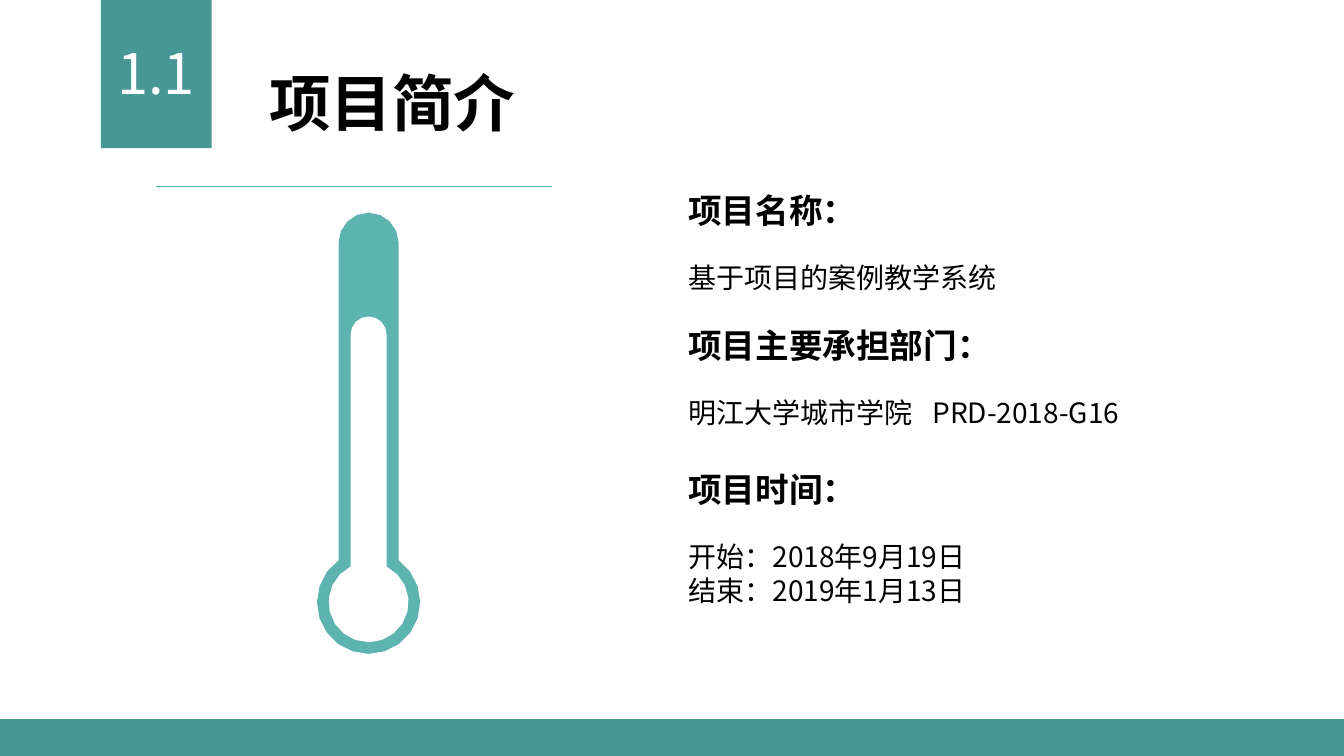
from dataclasses import dataclass
from math import acos, cos, pi, sin

from lxml import etree
from pptx import Presentation, util as u
from pptx.dml.color import RGBColor
from pptx.enum import shapes, text
from pptx.oxml import ns


@dataclass(frozen=True)
class Theme:
    dark: str = "479796"
    teal: str = "5DB3B0"
    white: str = "FFFFFF"
    black: str = "000000"
    font: str = "Noto Sans CJK SC"
    digit: str = "Noto Sans CJK KR"
    title: int = 44
    number: int = 40
    head: int = 24
    body: int = 20
    lead: float = 1.2


@dataclass(frozen=True)
class Box:
    """Columns and rows of a 160 by 90 grid."""
    left: float
    top: float
    wide: float
    high: float


@dataclass(frozen=True)
class Tube:
    """Half width of the stem, top of the stem, radius of the bulb."""
    half: float
    top: float
    bulb: float
    color: str


@dataclass(frozen=True)
class Line:
    words: str
    gap: float = 0
    head: bool = False


THEME = Theme()
CELL = u.Inches(1) / 12
AXIS, CORE = 43.88, 71.7  # centre of the thermometer bulb
TAB = 29.05

BARS = [Box(12, 0, 13.2, 17.64), Box(0, 85.6, 160, 4.4)]
TUBES = [Tube(3.57, 25.32, 6.14, THEME.teal),
         Tube(2.14, 37.68, 4.76, THEME.white)]
LINES = [
    Line("项目名称：", head=True),
    Line("基于项目的案例教学系统", 21.6),
    Line("项目主要承担部门：", 21.6, True),
    Line("明江大学城市学院\tPRD-2018-G16", 21.6),
    Line("项目时间：", 28.8, True),
    Line("开始：2018年9月19日", 21.6),
    Line("结束：2019年1月13日"),
]


def grid(cells: float) -> int:
    return round(cells * CELL)


def place(shape, box: Box) -> None:
    shape.left, shape.top = grid(box.left), grid(box.top)
    shape.width, shape.height = grid(box.wide), grid(box.high)


def paint(shape, color: str) -> None:
    shape.fill.solid()
    shape.fill.fore_color.rgb = RGBColor.from_string(color)
    shape.line.fill.background()
    shape.shadow.inherit = False


def style(para, size: int, color: str, font: str, bold: bool = False) -> None:
    para.line_spacing = u.Pt(size * THEME.lead)
    for run in para.runs:
        run.font.size = u.Pt(size)
        run.font.bold = bold
        run.font.name = font
        run.font.color.rgb = RGBColor.from_string(color)
        east = etree.SubElement(run.font._element, ns.qn("a:ea"))
        east.set("typeface", font)


def setup(shape, box: Box):
    place(shape, box)
    frame = shape.text_frame
    frame.word_wrap = True
    frame.auto_size = text.MSO_AUTO_SIZE.NONE
    frame.vertical_anchor = text.MSO_ANCHOR.TOP
    return frame


def arc(y: float, size: float, start: float, end: float, steps: int) -> list:
    turns = [start + (end - start) * i / steps for i in range(steps + 1)]
    return [(grid(AXIS + size * cos(t)), grid(y + size * sin(t))) for t in turns]


def draw(slide, tube: Tube) -> None:
    # The stem meets the bulb where the bulb is as wide as the stem
    meet = acos(tube.half / tube.bulb)
    dots = arc(tube.top + tube.half, tube.half, -pi, 0, 8)
    dots += arc(CORE, tube.bulb, -meet, pi + meet, 16)
    pen = slide.shapes.build_freeform(*dots[0])
    pen.add_line_segments(dots[1:], close=True)
    paint(pen.convert_to_shape(), tube.color)


def write(frame, lines: list[Line]) -> None:
    frame.text = "\n".join(line.words for line in lines)
    for para, line in zip(frame.paragraphs, lines):
        size = THEME.head if line.head else THEME.body
        style(para, size, THEME.black, THEME.font, line.head)
        para.space_before = u.Pt(line.gap)
        if "\t" in line.words:
            stops = etree.SubElement(para._p.get_or_add_pPr(), ns.qn("a:tabLst"))
            etree.SubElement(stops, ns.qn("a:tab"), pos=str(grid(TAB)), algn="l")


def main() -> None:
    deck = Presentation()
    deck.slide_width, deck.slide_height = grid(160), grid(90)
    slide = deck.slides.add_slide(deck.slide_layouts[5])
    area = slide.shapes

    # Title
    frame = setup(area.title, Box(30.84, 7.08, 83.16, 10.08))
    frame.text = "项目简介"
    para = frame.paragraphs[0]
    para.alignment = text.PP_ALIGN.LEFT
    style(para, THEME.title, THEME.black, THEME.font, True)

    # Number tab and footer band
    for box in BARS:
        bar = area.add_shape(shapes.MSO_SHAPE.RECTANGLE, 0, 0, 0, 0)
        place(bar, box)
        paint(bar, THEME.dark)

    # Section number
    frame = setup(area.add_textbox(0, 0, 0, 0), Box(12, 4, 13.2, 9.24))
    frame.text = "1.1"
    para = frame.paragraphs[0]
    para.alignment = text.PP_ALIGN.CENTER
    style(para, THEME.number, THEME.white, THEME.digit)

    # Rule under the title
    rule = area.add_connector(shapes.MSO_CONNECTOR.STRAIGHT, grid(18.6),
                              grid(22.2), grid(65.76), grid(22.2))
    rule.line.color.rgb = RGBColor.from_string(THEME.teal)
    rule.line.width = u.Pt(1)
    etree.SubElement(rule._element.spPr, ns.qn("a:effectLst"))

    # Thermometer
    for tube in TUBES:
        draw(slide, tube)

    # Project facts
    frame = setup(area.add_textbox(0, 0, 0, 0), Box(80.76, 22.04, 62, 58.6))
    write(frame, LINES)

    deck.save("out.pptx")


if __name__ == "__main__":
    main()
